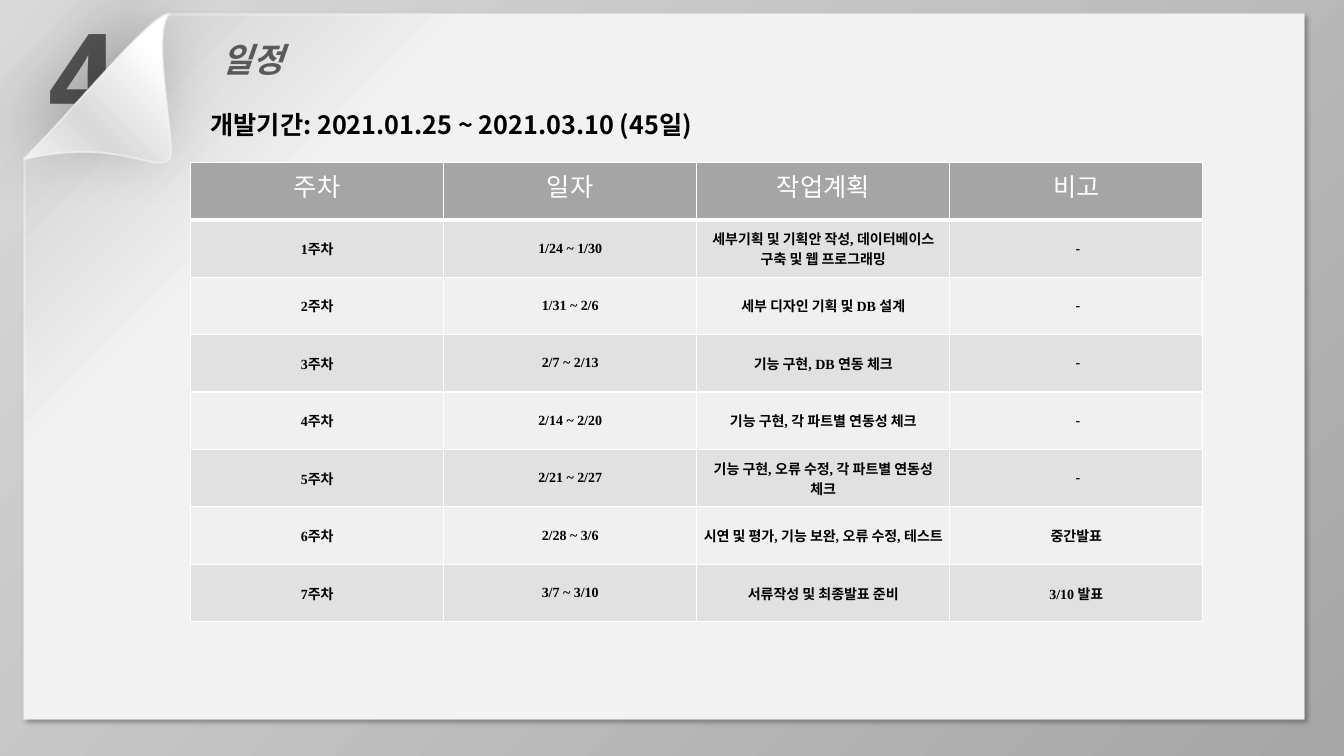
from lxml.etree import SubElement as Sub
from pptx import Presentation
from pptx.dml.color import RGBColor as RGB
from pptx.enum.shapes import MSO_SHAPE as Kind
from pptx.enum.text import MSO_ANCHOR as Anchor, MSO_AUTO_SIZE as Auto, PP_ALIGN as Align
from pptx.oxml.ns import qn
from pptx.util import Inches, Pt

SANS = "Noto Sans CJK KR"
HEADS = ["주차", "일자", "작업계획", "비고"]
WEEKS = [
    ["1주차", "1/24 ~ 1/30", "세부기획 및 기획안 작성, 데이터베이스 구축 및 웹 프로그래밍", " -"],
    ["2주차", "1/31 ~ 2/6", "세부 디자인 기획 및 DB 설계", " -"],
    ["3주차", "2/7 ~ 2/13", "기능 구현, DB 연동 체크", " -"],
    ["4주차", "2/14 ~ 2/20", "기능 구현, 각 파트별 연동성 체크", " -"],
    ["5주차", "2/21 ~ 2/27", "기능 구현, 오류 수정, 각 파트별 연동성 체크", " -"],
    ["6주차", "2/28 ~ 3/6", "시연 및 평가, 기능 보완, 오류 수정, 테스트", "중간발표"],
    ["7주차", "3/7 ~ 3/10", "서류작성 및 최종발표 준비", "3/10 발표"],
]
CURVES = [
    [(1.68, 1.58), (1.76, 1.51), (1.49, 0.31), (1.68, 0.14)],
    [(1.68, 0.14), (1.53, 0.1), (0.72, 1.1), (0.24, 1.58)],
    [(0.24, 1.58), (1.16, 1.36), (1.54, 1.72), (1.68, 1.58)],
]


def tint(code):
    return RGB.from_string(code)


def put(item, values):
    for name, value in values.items():
        setattr(item, name, value)


def place(item, left, top, width, height):
    put(item, {"left": Inches(left), "top": Inches(top),
               "width": Inches(width), "height": Inches(height)})


def blend(fill, root, stops, angle):
    fill.gradient()
    fill.gradient_angle = 360 - angle
    ramp = next(root.iter(qn("a:gsLst")))
    for old in list(ramp):
        ramp.remove(old)
    for spot, code in stops:
        stop = Sub(ramp, qn("a:gs"), pos=str(spot * 1000))
        Sub(stop, qn("a:srgbClr"), val=code)


def fade(color, alpha):
    Sub(color, qn("a:alpha"), val=str(alpha * 1000))


def paper(shape, stops, width, alpha, blur, dist, angle):
    shape.shadow.inherit = False
    blend(shape.fill, shape.element, stops, 135)
    shape.line.color.rgb = tint("F2F2F2")
    shape.line.width = Pt(width)
    fade(next(next(shape.element.iter(qn("a:ln"))).iter(qn("a:srgbClr"))), 56)
    glow = next(shape.element.iter(qn("a:effectLst")))
    cast = Sub(glow, qn("a:outerShdw"), blurRad=str(Pt(blur)), dist=str(Pt(dist)),
               dir=str(angle * 60000), algn="ctr", rotWithShape="0")
    fade(Sub(cast, qn("a:srgbClr"), val="000000"), alpha)


def write(frame, text, size, code, face=SANS, align=Align.LEFT, gap=0, **style):
    para = frame.paragraphs[0]
    put(para, {"alignment": align, "space_before": Pt(gap), "space_after": Pt(gap)})
    run = para.add_run()
    run.text = text
    put(run.font, {"size": Pt(size), "name": face, **style})
    run.font.color.rgb = tint(code)
    Sub(run._r.get_or_add_rPr(), qn("a:ea"), typeface=SANS)


def label(slide, box, text, size, code, inset=0.05, **style):
    shape = slide.shapes.add_textbox(*map(Inches, box))
    put(shape.text_frame, {"word_wrap": True, "auto_size": Auto.SHAPE_TO_FIT_TEXT,
                           "margin_top": Inches(inset), "margin_bottom": Inches(inset)})
    write(shape.text_frame, text, size, code, bold=True, **style)


def sheet(slide):
    page = slide.shapes.add_shape(Kind.SNIP_1_RECTANGLE, *map(Inches, (0.24, 0.14, 12.69, 6.99)))
    page.adjustments[0] = 0.205
    page.element.spPr.find(qn("a:xfrm")).set("flipH", "1")
    paper(page, [(9, "D9D9D9"), (23, "F2F2F2")], 2, 40, 4, 3, 45)


def bend(curve, t):
    a, b, c, d = curve
    return tuple(Inches((1 - t) ** 3 * p + 3 * t * (1 - t) ** 2 * q
                        + 3 * t * t * (1 - t) * r + t ** 3 * s)
                 for p, q, r, s in zip(a, b, c, d))


def fold(slide):
    dots = [bend(curve, n / 24) for curve in CURVES for n in range(1, 25)]
    pen = slide.shapes.build_freeform(*bend(CURVES[0], 0))
    pen.add_line_segments(dots, close=True)
    paper(pen.convert_to_shape(), [(17, "FFFFFF"), (66, "D9D9D9"), (100, "F2F2F2")],
          1.5, 26, 50, 16, 225)


def head(slide, text):
    title = slide.shapes.title
    title.element.getparent().append(title.element)
    place(title, 2.1, 0.34, 5.69, 0.5)
    put(title.text_frame, {"vertical_anchor": Anchor.TOP, "word_wrap": True,
                           "auto_size": Auto.SHAPE_TO_FIT_TEXT})
    write(title.text_frame, text, 24, "595959", bold=True, italic=True)


def edge(cell, base):
    props = cell._tc.get_or_add_tcPr()
    for spot, (side, width) in enumerate({"L": 1, "R": 1, "T": 1, "B": base}.items()):
        line = Sub(props, qn("a:ln" + side), w=str(Pt(width)))
        Sub(Sub(line, qn("a:solidFill")), qn("a:srgbClr"), val="FFFFFF")
        props.insert(spot, line)


def plan(slide):
    rows = [HEADS] + WEEKS
    table = slide.shapes.add_table(len(rows), len(HEADS),
                                   *map(Inches, (1.89, 1.61, 10.04, 4.56))).table
    for r, row in enumerate(rows):
        for c, text in enumerate(row):
            cell = table.cell(r, c)
            cell.fill.solid()
            cell.fill.fore_color.rgb = tint("F0F0F0" if r % 2 == 0 else "E1E1E1")
            if r == 0:
                cell.fill.fore_color.rgb = tint("A5A5A5")
                write(cell.text_frame, text, 18, "FFFFFF", align=Align.CENTER, bold=False)
            else:
                put(cell, {"vertical_anchor": Anchor.MIDDLE, "margin_top": 0, "margin_bottom": 0,
                           "margin_left": Inches(0.07), "margin_right": Inches(0.07)})
                write(cell.text_frame, text, 10, "000000", "Times New Roman",
                      Align.CENTER, 6, bold=True)
            edge(cell, 3 if r == 0 else 1)


def main():
    deck = Presentation()
    put(deck, {"slide_width": Inches(13.33), "slide_height": Inches(7.5)})
    slide = deck.slides.add_slide(deck.slide_layouts[5])
    blend(slide.background.fill, slide.element, [(0, "D9D9D9"), (100, "A6A6A6")], 45)
    label(slide, (0.08, -0.01, 1.5, 1.48), "4", 88, "595959", 0,
          face="Open Sans", align=Align.CENTER)
    sheet(slide)
    fold(slide)
    head(slide, "일정")
    plan(slide)
    label(slide, (1.99, 1.04, 8.42, 0.4), "개발기간: 2021.01.25 ~ 2021.03.10 (45일)", 18, "000000")
    deck.save("out.pptx")


if __name__ == "__main__":
    main()
